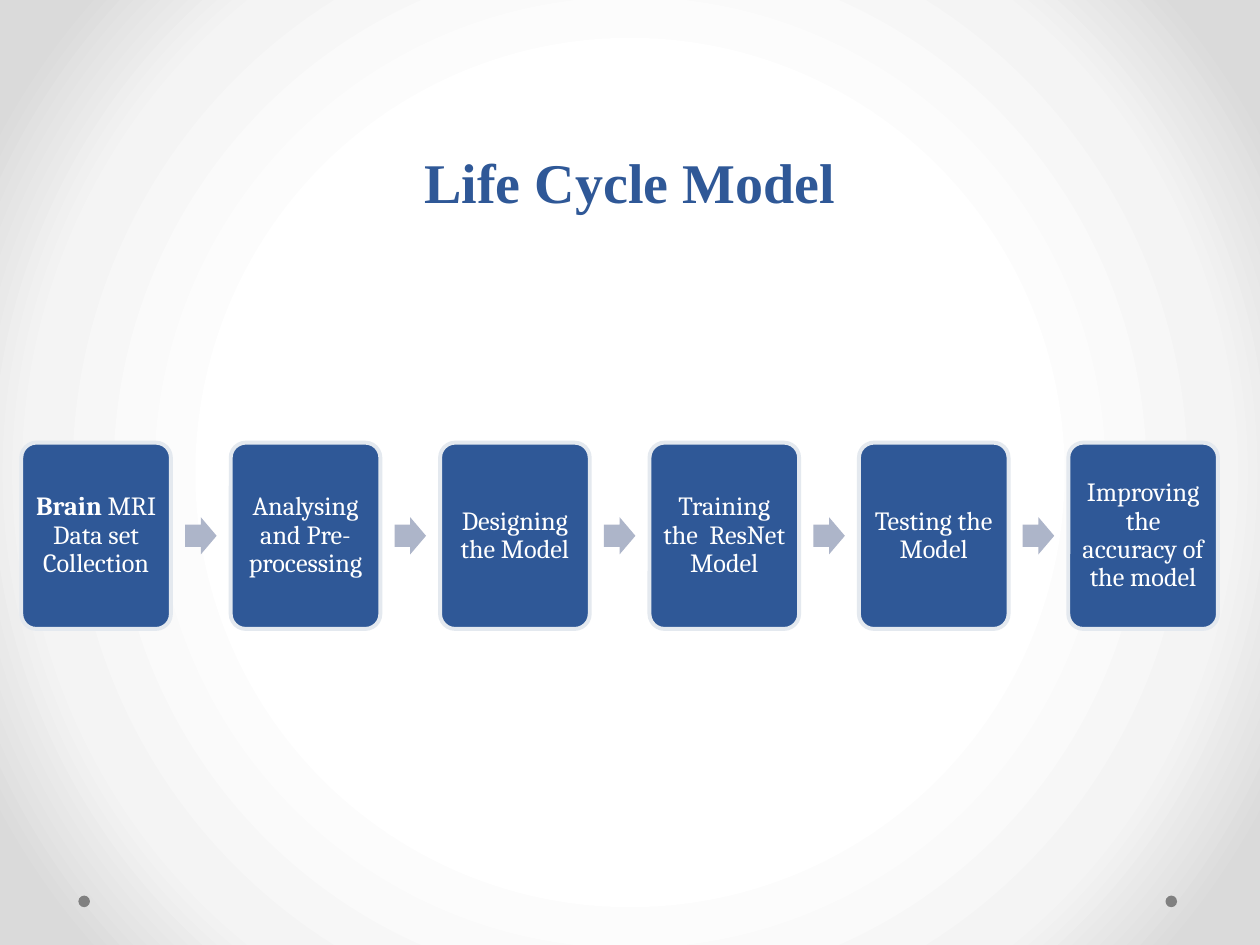
import lxml.etree
import pptx
import pptx.dml.color
import pptx.enum.shapes
import pptx.enum.text
import pptx.oxml.ns
import pptx.util

Pt = pptx.util.Pt
SHAPES = pptx.enum.shapes.MSO_SHAPE
ANCHOR = pptx.enum.text.MSO_ANCHOR
CENTER = pptx.enum.text.PP_ALIGN.CENTER
qn = pptx.oxml.ns.qn

BLUE, PALE_BLUE, ARROW_BLUE = "2F5897", "E4E9EF", "ADB5C9"
WHITE, GREY = "FFFFFF", "808080"
GLOW_STOPS = [(50, "FFFFFF"), (76, "F4F4F4"), (92, "DADADA")]

# Each step is a list of (text, bold) runs
STEPS = [
    [("Brain ", True), ("MRI Data set Collection", False)],
    [("Analysing and Pre-processing", False)],
    [("Designing the Model", False)],
    [("Training the  ResNet Model", False)],
    [("Testing the Model", False)],
    [("Improving the accuracy of the model", False)],
]


def color(hex_string):
    return pptx.dml.color.RGBColor.from_string(hex_string)


def add_filled(slide, kind, left, top, width, height, fill):
    shape = slide.shapes.add_shape(kind, Pt(left), Pt(top), Pt(width), Pt(height))
    shape.shadow.inherit = False
    shape.fill.solid()
    shape.fill.fore_color.rgb = color(fill)
    shape.line.fill.background()
    return shape


def style_run(run, font_name, size, hex_string, bold):
    run.font.name = font_name
    run.font.size = Pt(size)
    run.font.color.rgb = color(hex_string)
    run.font.bold = bold


def paint_background(slide):
    """Radial glow, white in the middle and grey at the corners."""
    slide.background.fill.gradient()
    gradient = slide.background._cSld.find(".//" + qn("a:gradFill"))
    for child in list(gradient):
        gradient.remove(child)
    stops = lxml.etree.SubElement(gradient, qn("a:gsLst"))
    for percent, hex_string in GLOW_STOPS:
        stop = lxml.etree.SubElement(stops, qn("a:gs"), pos=str(percent * 1000))
        lxml.etree.SubElement(stop, qn("a:srgbClr"), val=hex_string)
    glow = lxml.etree.SubElement(gradient, qn("a:path"), path="circle")
    lxml.etree.SubElement(glow, qn("a:fillToRect"), l="50000", t="50000", r="50000", b="50000")


def add_corner_dots(slide, left, top, width, size):
    for dot_left in (left, left + width - size):
        add_filled(slide, SHAPES.OVAL, dot_left, top, size, size, GREY)


def add_title(slide, left, top, width, height):
    title = slide.shapes.add_textbox(Pt(left), Pt(top), Pt(width), Pt(height))
    frame = title.text_frame
    frame.word_wrap = True
    frame.vertical_anchor = ANCHOR.BOTTOM
    frame.text = "Life Cycle Model"
    heading = frame.paragraphs[0]
    heading.alignment = CENTER
    heading.line_spacing = Pt(58)
    style_run(heading.runs[0], "Times New Roman", 32, BLUE, True)


def add_step(slide, left, top, width, height, parts):
    step = add_filled(slide, SHAPES.ROUNDED_RECTANGLE, left, top, width, height, BLUE)
    step.adjustments[0] = 0.1
    step.line.color.rgb = color(PALE_BLUE)
    step.line.width = Pt(2.25)
    frame = step.text_frame
    frame.word_wrap = True
    frame.vertical_anchor = ANCHOR.MIDDLE
    frame.margin_left = frame.margin_right = Pt(4.5)
    frame.margin_top = frame.margin_bottom = Pt(4.5)
    label = frame.paragraphs[0]
    label.alignment = CENTER
    label.line_spacing = 0.9
    for text, bold in parts:
        run = label.add_run()
        run.text = text
        style_run(run, "Cambria", 15, WHITE, bold)


def add_process(slide, left, top, width, height):
    """Row of equal steps with an arrow centred in each gap."""
    step_width, arrow_width, arrow_height = 85.5, 18, 21.2
    pitch = (width - step_width) / (len(STEPS) - 1)
    arrow_offset = (step_width + pitch - arrow_width) / 2
    arrow_top = top + (height - arrow_height) / 2
    for index, parts in enumerate(STEPS):
        step_left = left + index * pitch
        add_step(slide, step_left, top, step_width, height, parts)
        if index < len(STEPS) - 1:
            arrow = add_filled(slide, SHAPES.RIGHT_ARROW, step_left + arrow_offset,
                               arrow_top, arrow_width, arrow_height, ARROW_BLUE)
            arrow.adjustments[0] = 0.6
            arrow.adjustments[1] = 0.5


def main():
    deck = pptx.Presentation()
    deck.slide_width, deck.slide_height = Pt(720), Pt(540)
    slide = deck.slides.add_slide(deck.slide_layouts[6])
    paint_background(slide)
    add_corner_dots(slide, 44.8, 511.8, 627.8, 6.6)
    add_title(slide, 36, 43.2, 648, 82.8)
    add_process(slide, 12.2, 253, 683.8, 106.4)
    deck.save("out.pptx")


if __name__ == "__main__":
    main()
